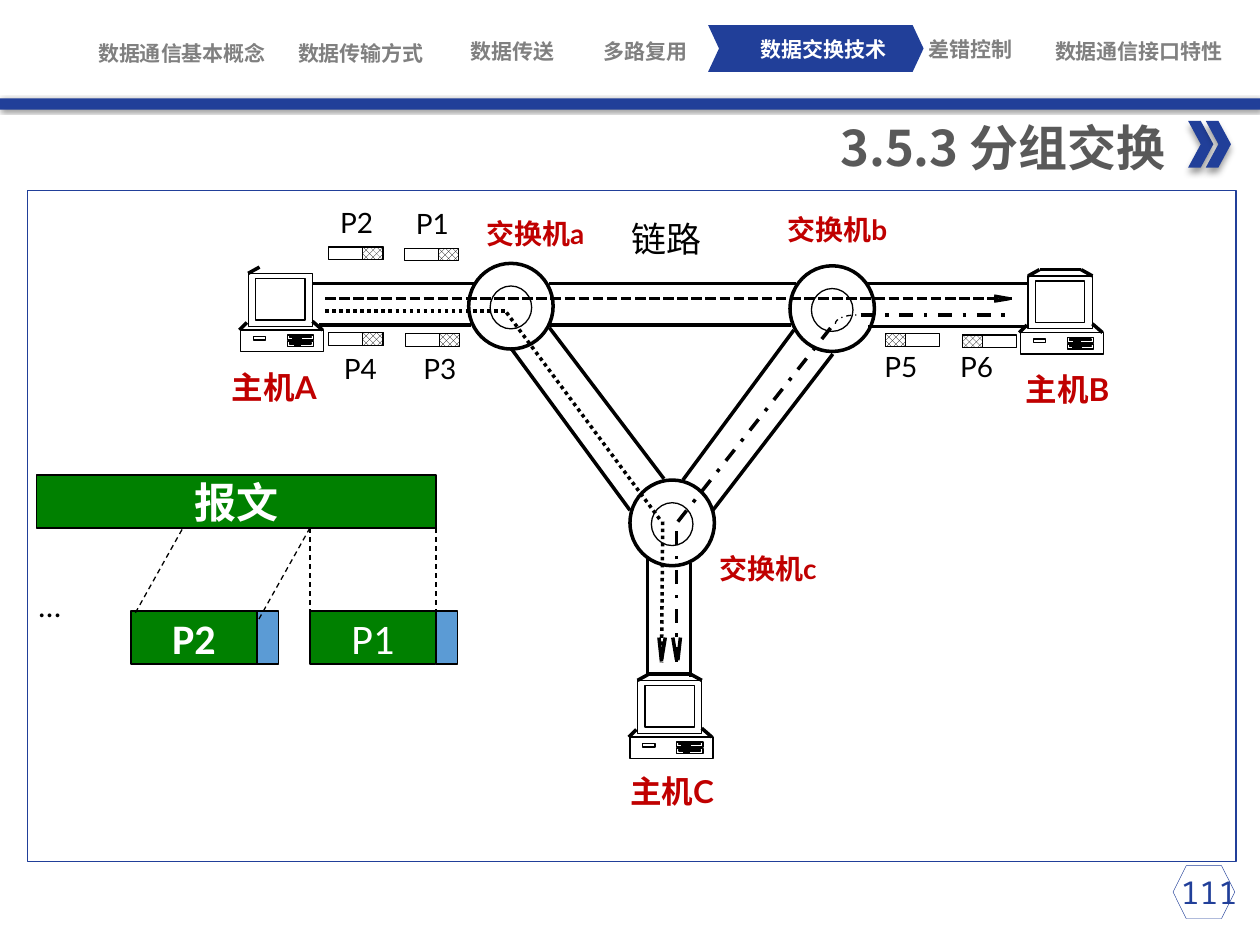
from math import cos, pi, sin
from typing import NamedTuple, Optional

from pptx import Presentation
from pptx.dml.color import RGBColor
from pptx.enum.dml import MSO_LINE_DASH_STYLE as Dash, MSO_PATTERN_TYPE as Pattern
from pptx.enum.shapes import MSO_CONNECTOR, MSO_SHAPE as Kind
from pptx.enum.text import MSO_ANCHOR as Anchor, MSO_AUTO_SIZE as AutoSize, PP_ALIGN as Align
from pptx.oxml import parse_xml
from pptx.oxml.ns import nsdecls
from pptx.util import Inches, Pt

BLUE = RGBColor(0x21, 0x3F, 0x99)
LIGHT_BLUE = RGBColor(0x5B, 0x9B, 0xD5)
GREEN = RGBColor(0x00, 0x80, 0x00)
RED = RGBColor(0xC0, 0x00, 0x00)
GREY = RGBColor(0x80, 0x80, 0x80)
DARK_GREY = RGBColor(0x59, 0x59, 0x59)
BLACK = RGBColor(0, 0, 0)
WHITE = RGBColor(0xFF, 0xFF, 0xFF)
CJK_FONT = "Noto Sans CJK SC"


class NavItem(NamedTuple):
    text: str
    left: float
    top: float
    width: float = 1.45
    color: RGBColor = GREY


class Label(NamedTuple):
    text: str
    left: float
    top: float
    size: int = 16
    width: float = 0.27
    color: RGBColor = BLACK
    font: str = "Lato"


class Packet(NamedTuple):
    left: float
    top: float
    header_offset: float


class Computer(NamedTuple):
    left: float
    top: float
    full_lid: bool = True


class Wire(NamedTuple):
    start: tuple[float, float]
    end: tuple[float, float]
    dash: Optional[Dash] = None
    width: float = 0


NAVIGATION = [
    NavItem("多路复用", 4.4, 0.31), NavItem("数据通信基本概念", 0.72, 0.32),
    NavItem("数据传输方式", 2.14, 0.32), NavItem("数据传送", 3.43, 0.31, 1.27),
    NavItem("数据通信接口特性", 8.08, 0.31, 1.92),
    NavItem("数据交换技术", 5.81, 0.29, color=WHITE), NavItem("差错控制", 6.98, 0.29),
]
LABELS = [
    Label("主机A", 1.84, 2.92, 18, 0.69, RED), Label("主机B", 8.14, 2.94, 18, 0.69, RED),
    Label("主机C", 5, 6.13, 18, 0.69, RED), Label("交换机a", 3.86, 1.72, 16, 0.8, RED),
    Label("交换机b", 6.25, 1.69, 16, 0.82, RED), Label("交换机c", 5.71, 4.38, 16, 0.8, RED),
    Label("链路", 5.01, 1.73, 20, 0.56, font=CJK_FONT),
    Label("P1", 3.3, 1.64), Label("P2", 2.7, 1.63), Label("P3", 3.36, 2.79),
    Label("P4", 2.73, 2.79), Label("P5", 7.02, 2.77), Label("P6", 7.62, 2.77),
]
PACKETS = [
    Packet(3.21, 1.97, 0.27), Packet(2.61, 1.96, 0.27), Packet(2.61, 2.64, 0.27),
    Packet(3.22, 2.65, 0.27), Packet(7.03, 2.65, 0), Packet(7.64, 2.66, 0),
]
SWITCHES = [(3.72, 2.09), (5, 3.81), (6.27, 2.11)]
COMPUTERS = [Computer(5, 5.85), Computer(8.1, 2.64), Computer(1.91, 2.62, False)]
SPLITS = [
    Wire(start, end, Dash.DASH, 0.75) for start, end in [
        ((2.46, 4.19), (2.46, 4.94)), ((3.46, 4.19), (3.46, 4.94)),
        ((2.46, 4.19), (2.04, 4.94)), ((1.48, 4.14), (1.06, 4.89))]
]
LINKS = [
    Wire((4.36, 2.25), (6.32, 2.25)), Wire((4.35, 2.58), (6.28, 2.58)),
    Wire((4.06, 2.77), (5, 4.05)), Wire((4.36, 2.6), (5.27, 3.8)),
    Wire((5.42, 3.81), (6.3, 2.62)), Wire((5.65, 4.06), (6.61, 2.81)),
    Wire((2.48, 2.25), (3.76, 2.25)), Wire((2.53, 2.58), (3.74, 2.58)),
    Wire((6.87, 2.25), (8.15, 2.25)), Wire((6.89, 2.59), (8.15, 2.59)),
    Wire((5.14, 4.44), (5.14, 5.35)), Wire((5.48, 4.47), (5.48, 5.37)),
]
ROUTES = [
    Wire((2.58, 2.37), (8.03, 2.37), Dash.SQUARE_DOT),
    Wire((2.58, 2.47), (4.02, 2.47), Dash.ROUND_DOT),
    Wire((4.02, 2.48), (5.25, 4.14), Dash.ROUND_DOT),
    Wire((5.26, 4.14), (5.25, 5.26), Dash.ROUND_DOT),
    Wire((5.37, 5.25), (5.37, 4.15), Dash.DASH_DOT),
    Wire((5.38, 4.14), (6.61, 2.58), Dash.DASH_DOT),
    Wire((6.83, 2.5), (8.05, 2.5), Dash.DASH_DOT),
]
ARROW_TIPS = [
    Wire((7.89, 2.35), (8, 2.37)), Wire((7.89, 2.39), (8.01, 2.37)),
    Wire((5.23, 5.06), (5.25, 5.25)), Wire((5.28, 5.06), (5.25, 5.24)),
    Wire((5.34, 5.06), (5.37, 5.24)), Wire((5.4, 5.06), (5.38, 5.24)),
]


def write(shape, text: str, *, size: float, font: str = "Calibri", color: RGBColor = BLACK,
          bold: bool = False, align=Align.LEFT, anchor=Anchor.TOP, wrap: bool = False,
          grow: bool = True, inset: Optional[float] = None, hanging: float = 0) -> None:
    frame = shape.text_frame
    frame.word_wrap = wrap
    frame.auto_size = AutoSize.SHAPE_TO_FIT_TEXT if grow else AutoSize.NONE
    frame.vertical_anchor = anchor
    if inset is not None:
        frame.margin_left = frame.margin_right = Inches(inset)
        frame.margin_top = frame.margin_bottom = Inches(inset)
    para = frame.paragraphs[0]
    para.alignment = align
    if hanging:
        properties = para._p.get_or_add_pPr()
        properties.set("marL", str(Inches(hanging)))
        properties.set("indent", str(-Inches(hanging)))
    span = para.add_run()
    span.text = text
    span.font.size, span.font.name, span.font.bold = Pt(size), font, bold
    span.font.color.rgb = color
    span.font._element.append(parse_xml(f'<a:ea {nsdecls("a")} typeface="{CJK_FONT}"/>'))


def add_text(page, left: float, top: float, width: float, height: float, text: str, **style):
    box = page.shapes.add_textbox(Inches(left), Inches(top), Inches(width), Inches(height))
    write(box, text, **style)


def add_box(page, kind, left: float, top: float, width: float, height: float,
            fill: Optional[RGBColor] = None, line: Optional[RGBColor] = BLACK, weight: float = 0):
    box = page.shapes.add_shape(kind, Inches(left), Inches(top), Inches(width), Inches(height))
    box.shadow.inherit = False
    if fill is None:
        box.fill.background()
    else:
        box.fill.solid()
        box.fill.fore_color.rgb = fill
    if line is None:
        box.line.fill.background()
    else:
        box.line.color.rgb = line
        box.line.width = Pt(weight)
    return box


def cast_shadow(shape, blur: float, distance: float, degrees: int) -> None:
    effects = shape._element.spPr.find("{http://schemas.openxmlformats.org/drawingml/2006/main}effectLst")
    effects.append(parse_xml(
        f'<a:outerShdw {nsdecls("a")} blurRad="{Pt(blur)}" dist="{Pt(distance)}" '
        f'dir="{degrees * 60000}" algn="t" rotWithShape="0">'
        '<a:srgbClr val="000000"><a:alpha val="40000"/></a:srgbClr></a:outerShdw>'))


def add_wire(page, wire: Wire) -> None:
    line = page.shapes.add_connector(
        MSO_CONNECTOR.STRAIGHT, *(Inches(value) for value in wire.start + wire.end))
    line.line.color.rgb = BLACK
    line.line.width = Pt(wire.width)
    if wire.dash is not None:
        line.line.dash_style = wire.dash
    line._element.spPr.append(parse_xml(f'<a:effectLst {nsdecls("a")}/>'))


def add_computer(page, computer: Computer) -> None:
    left, top = computer.left, computer.top
    rectangles = [(0.06, -0.45, 0.51, 0.42), (0.12, -0.41, 0.39, 0.33),
                  (0, 0, 0.66, 0.17), (0.1, 0.05, 0.1, 0.03)]
    strokes = [(0.05, -0.06, -0.01, 0), (0.57, -0.07, 0.65, 0), (0.15, -0.5, 0.06, -0.45)]
    if computer.full_lid:
        strokes += [(0.15, -0.5, 0.48, -0.5), (0.48, -0.5, 0.57, -0.45)]
    for drive in (0.04, 0.09):
        rectangles += [(0.37, drive, 0.21, 0.04), (0.39, drive + 0.01, 0.17, 0.01)]
        strokes += [(0.42, drive + 0.02, 0.42, drive + 0.03),
                    (0.42, drive + 0.03, 0.48, drive + 0.03),
                    (0.47, drive + 0.02, 0.47, drive + 0.03)]
    for x, y, width, height in rectangles:
        add_box(page, Kind.RECTANGLE, left + x, top + y, width, height)
    for x1, y1, x2, y2 in strokes:
        add_wire(page, Wire((left + x1, top + y1), (left + x2, top + y2)))


def add_packet(page, packet: Packet) -> None:
    add_box(page, Kind.RECTANGLE, packet.left, packet.top, 0.43, 0.1)
    header = add_box(page, Kind.RECTANGLE, packet.left + packet.header_offset, packet.top, 0.16, 0.1)
    header.fill.patterned()
    header.fill.pattern = Pattern.OUTLINED_DIAMOND
    header.fill.fore_color.rgb, header.fill.back_color.rgb = BLACK, WHITE


def add_block(page, left: float, top: float, width: float, text: str, bold: bool):
    block = add_box(page, Kind.RECTANGLE, left, top, width, 0.42, GREEN, weight=0.75)
    write(block, text, size=24, color=WHITE, bold=bold, align=Align.CENTER,
          anchor=Anchor.MIDDLE, grow=False)
    return block


def add_bend(page) -> None:
    """Quarter ellipse that joins the two legs of the route through switch b."""
    points = [(Inches(6.8 - 0.17 * cos(step * pi / 16)), Inches(2.57 - 0.07 * sin(step * pi / 16)))
              for step in range(9)]
    builder = page.shapes.build_freeform(*points[0])
    builder.add_line_segments(points[1:], close=False)
    bend = builder.convert_to_shape()
    bend.shadow.inherit = False
    bend.fill.background()
    bend.line.color.rgb, bend.line.width = BLACK, Pt(0)
    bend.line.dash_style = Dash.DASH_DOT


def add_header(page) -> None:
    tab = add_box(page, Kind.CHEVRON, 5.62, 0.2, 1.71, 0.37, BLUE, None)
    tab.adjustments[0] = 0.234
    for item in NAVIGATION:
        add_text(page, item.left, item.top, item.width, 0.2, item.text, size=12,
                 font="Roboto Condensed", color=item.color, bold=True, align=Align.CENTER,
                 anchor=Anchor.MIDDLE, wrap=True, inset=0)
    cast_shadow(add_box(page, Kind.RECTANGLE, 0, 0.78, 10, 0.09, BLUE, None), 2, 1, 45)
    chevrons = [add_box(page, Kind.CHEVRON, left, 0.96, 0.2, 0.37, BLUE, None) for left in (9.43, 9.57)]
    for chevron in chevrons:
        cast_shadow(chevron, 4, 3, 90)
    page.shapes.add_group_shape(chevrons)
    title = page.shapes.title
    title.left, title.top, title.width, title.height = map(Inches, (6.39, 0.88, 2.96, 0.57))
    write(title, "3.5.3 分组交换", size=28, font=CJK_FONT, color=DARK_GREY, bold=True, align=Align.RIGHT)


def main() -> None:
    deck = Presentation()
    deck.slide_width, deck.slide_height = Inches(10), Inches(7.5)
    page = deck.slides.add_slide(deck.slide_layouts[5])
    add_header(page)
    add_box(page, Kind.RECTANGLE, 0.22, 1.51, 9.59, 5.33, line=BLUE, weight=0.75)
    add_text(page, 9.16, 6.88, 0.87, 0.4, "111", size=18, font="Noto Sans Mono", color=BLUE,
             align=Align.CENTER, wrap=True, grow=False)
    add_box(page, Kind.HEXAGON, 9.31, 6.87, 0.49, 0.42, line=BLUE, weight=0.25)
    for text, left, bold in (("P2", 1.04, True), ("P1", 2.46, False)):
        body = add_block(page, left, 4.85, 1, text, bold)
        header = add_box(page, Kind.RECTANGLE, left + 1, 4.85, 0.17, 0.42, LIGHT_BLUE, weight=0.75)
        page.shapes.add_group_shape([body, header])
    for wire in SPLITS:
        add_wire(page, wire)
    add_block(page, 0.29, 3.77, 3.17, "报文", True)
    add_text(page, 0.21, 4.6, 0.7, 0.7, "…", size=18)
    for left, top in SWITCHES:
        add_box(page, Kind.OVAL, left, top, 0.67, 0.68, weight=2)
        add_box(page, Kind.OVAL, left + 0.17, top + 0.18, 0.33, 0.34)
    for computer in COMPUTERS:
        add_computer(page, computer)
    for wire in LINKS + ROUTES + ARROW_TIPS:
        add_wire(page, wire)
    add_bend(page)
    for packet in PACKETS:
        add_packet(page, packet)
    for label in LABELS:
        add_text(page, label.left, label.top, label.width, label.size / 60, label.text,
                 size=label.size, font=label.font, color=label.color, bold=label.color == RED,
                 inset=0, hanging=0.38)
    deck.save("out.pptx")


if __name__ == "__main__":
    main()
